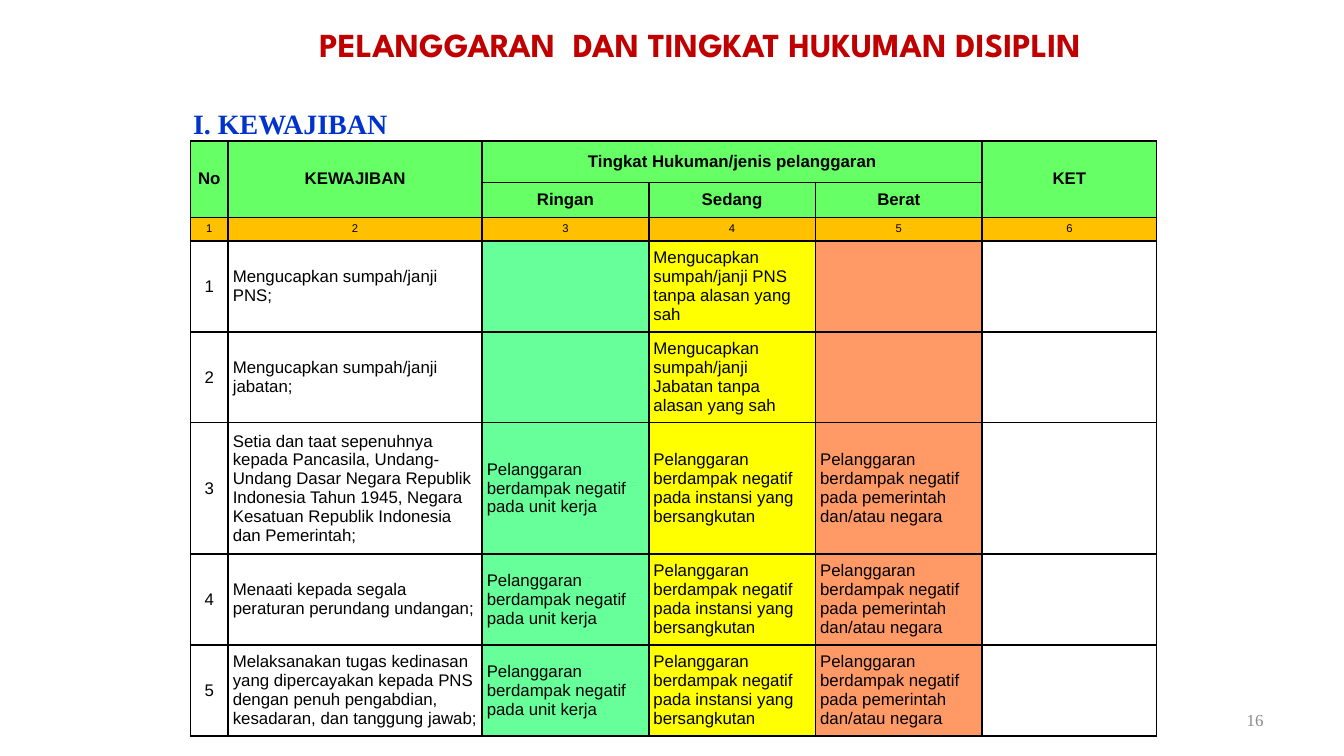
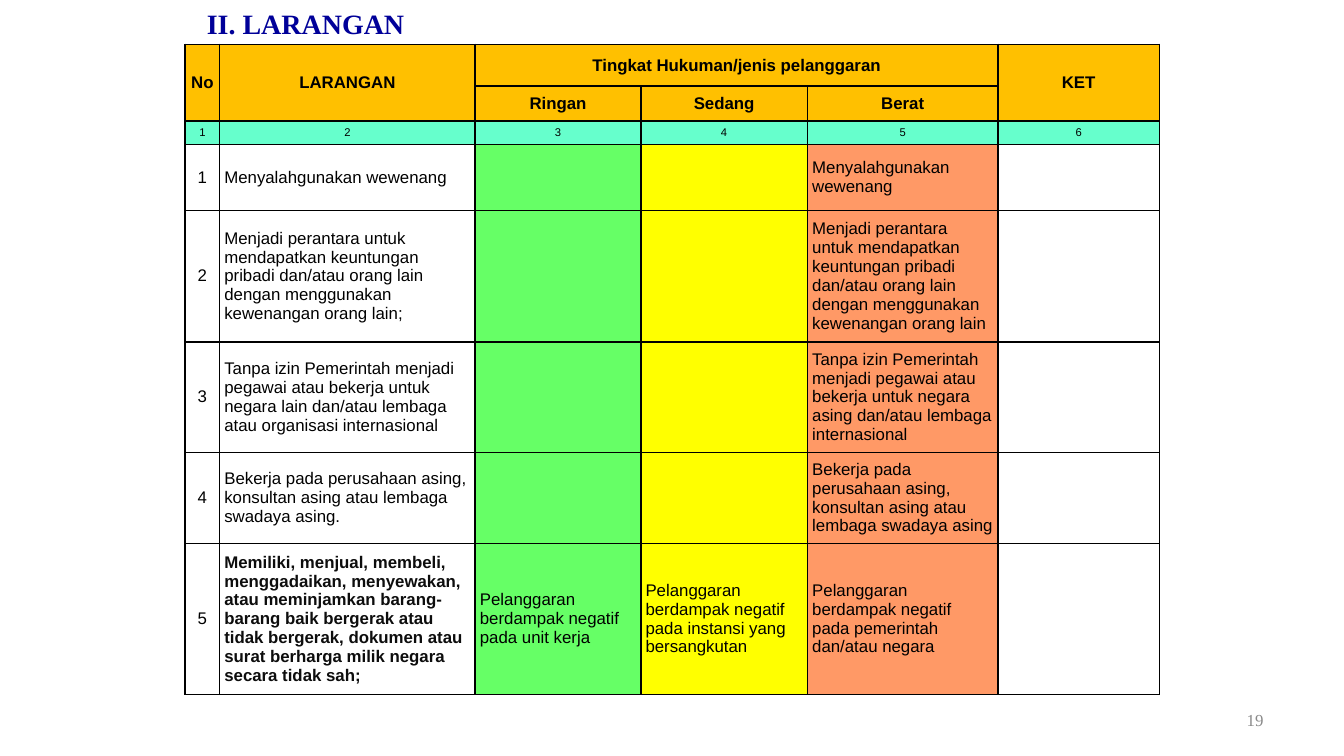
from dataclasses import dataclass

import pptx
import pptx.dml.color
import pptx.enum.text
import pptx.oxml
import pptx.oxml.ns
import pptx.presentation
import pptx.slide
import pptx.table
import pptx.text.text
import pptx.util
from pptx.util import Cm

ALIGN = pptx.enum.text.PP_ALIGN
ANCHOR = pptx.enum.text.MSO_ANCHOR

BODY_FONT, HEADING_FONT, TITLE_FONT = "Arial", "Times New Roman", "League Spartan"
BLACK, NEAR_BLACK, GREY, RED = "000000", "0D0D0D", "898989", "C00000"
AMBER, LIME, MINT, AQUA = "FFC000", "66FF66", "66FF99", "66FFCC"
YELLOW, SALMON = "FFFF00", "FF9966"

LEVELS = ("Ringan", "Sedang", "Berat")
HEADER_ROWS = 3
HEADER_HEIGHTS = (0.79, 0.66, 0.44)
CELL_INSET = Cm(0.09)
BODY_SIZE, INDEX_SIZE = 9, 6

UNIT_IMPACT = "Pelanggaran berdampak negatif pada unit kerja"
AGENCY_IMPACT = "Pelanggaran berdampak negatif pada instansi yang bersangkutan"
STATE_IMPACT = "Pelanggaran berdampak negatif pada pemerintah dan/atau negara"
ALL_IMPACTS = (UNIT_IMPACT, AGENCY_IMPACT, STATE_IMPACT)


@dataclass(frozen=True)
class TextStyle:
    font: str
    size: float
    color: str
    bold: bool = False
    align: ALIGN = ALIGN.LEFT


@dataclass(frozen=True)
class Box:
    """Position and size in centimetres."""
    left: float
    top: float
    width: float
    height: float


@dataclass(frozen=True)
class Rule:
    """A duty or ban, with the violation at each penalty level."""
    wording: str
    violations: tuple[str, str, str]
    height: float
    emphasised: bool = False


@dataclass(frozen=True)
class Section:
    heading: str
    heading_box: Box
    heading_color: str
    subject: str
    page: str
    left: float
    top: float
    widths: tuple[float, ...]
    header_fill: str
    index_fill: str
    level_fills: tuple[str, str, str]
    rules: tuple[Rule, ...]
    title: str = ""


TITLE_STYLE = TextStyle(TITLE_FONT, 18, RED, True, ALIGN.CENTER)
PAGE_STYLE = TextStyle(HEADING_FONT, 9, GREY, align=ALIGN.RIGHT)
HEADER_STYLE = TextStyle(BODY_FONT, BODY_SIZE, BLACK, True, ALIGN.CENTER)
INDEX_STYLE = TextStyle(BODY_FONT, INDEX_SIZE, BLACK, align=ALIGN.CENTER)
NUMBER_STYLE = TextStyle(BODY_FONT, BODY_SIZE, BLACK, align=ALIGN.CENTER)
BODY_STYLE = TextStyle(BODY_FONT, BODY_SIZE, BLACK)
EMPHASIS_STYLE = TextStyle(BODY_FONT, BODY_SIZE, NEAR_BLACK, True)

TITLE_BOX = Box(4.8, 0.33, 16.87, 1.02)
PAGE_BOX = Box(18.2, 13.23, 5.93, 0.76)

SECTIONS = (
    Section(
        title="PELANGGARAN  DAN TINGKAT HUKUMAN DISIPLIN",
        heading="I. KEWAJIBAN",
        heading_box=Box(3.4, 1.88, 4.85, 0.89),
        heading_color="0033CC",
        subject="KEWAJIBAN",
        page="16",
        left=3.6,
        top=2.66,
        widths=(0.71, 4.8, 3.15, 3.15, 3.15, 3.3),
        header_fill=LIME,
        index_fill=AMBER,
        level_fills=(MINT, YELLOW, SALMON),
        rules=(
            Rule("Mengucapkan sumpah/janji PNS;",
                 ("", "Mengucapkan sumpah/janji PNS tanpa alasan yang sah", ""), 1.72),
            Rule("Mengucapkan sumpah/janji jabatan;",
                 ("", "Mengucapkan sumpah/janji Jabatan tanpa alasan yang sah", ""), 1.72),
            Rule("Setia dan taat sepenuhnya kepada Pancasila, Undang-Undang Dasar Negara "
                 "Republik Indonesia Tahun 1945, Negara Kesatuan Republik Indonesia dan "
                 "Pemerintah;", ALL_IMPACTS, 2.48),
            Rule("Menaati kepada segala peraturan perundang undangan;", ALL_IMPACTS, 1.72),
            Rule("Melaksanakan tugas kedinasan yang dipercayakan kepada PNS dengan penuh "
                 "pengabdian, kesadaran, dan tanggung jawab;", ALL_IMPACTS, 1.72),
        ),
    ),
    Section(
        heading="II. LARANGAN",
        heading_box=Box(3.66, 0, 5.05, 0.89),
        heading_color="000099",
        subject="LARANGAN",
        page="19",
        left=3.5,
        top=0.84,
        widths=(0.65, 4.83, 3.13, 3.15, 3.6, 3.05),
        header_fill=AMBER,
        index_fill=AQUA,
        level_fills=(LIME, YELLOW, SALMON),
        rules=(
            Rule("Menyalahgunakan wewenang", ("", "", "Menyalahgunakan wewenang"), 1.25),
            Rule("Menjadi perantara untuk mendapatkan keuntungan pribadi dan/atau orang lain "
                 "dengan menggunakan kewenangan orang lain;",
                 ("", "", "Menjadi perantara untuk mendapatkan keuntungan pribadi dan/atau "
                  "orang lain dengan menggunakan kewenangan orang lain"), 2.48),
            Rule("Tanpa izin Pemerintah menjadi pegawai atau bekerja untuk negara lain "
                 "dan/atau lembaga atau organisasi internasional",
                 ("", "", "Tanpa izin Pemerintah menjadi pegawai atau bekerja untuk negara "
                  "asing dan/atau lembaga internasional"), 2.09),
            Rule("Bekerja pada perusahaan asing, konsultan asing atau lembaga swadaya asing.",
                 ("", "", "Bekerja pada perusahaan asing, konsultan asing atau lembaga "
                  "swadaya asing"), 1.72),
            Rule("Memiliki, menjual, membeli, menggadaikan, menyewakan, atau meminjamkan "
                 "barang-barang baik bergerak atau tidak bergerak, dokumen atau surat berharga "
                 "milik negara secara tidak sah;", ALL_IMPACTS, 2.85, emphasised=True),
        ),
    ),
)


def rgb(color: str) -> pptx.dml.color.RGBColor:
    return pptx.dml.color.RGBColor.from_string(color)


def write(frame: pptx.text.text.TextFrame, wording: str, style: TextStyle) -> None:
    frame.text = wording
    paragraph = frame.paragraphs[0]
    paragraph.alignment = style.align
    for run in paragraph.runs:
        run.font.name = style.font
        run.font.size = pptx.util.Pt(style.size)
        run.font.bold = style.bold
        run.font.color.rgb = rgb(style.color)


def add_text(slide: pptx.slide.Slide, box: Box, wording: str, style: TextStyle,
             anchor: ANCHOR = ANCHOR.TOP, wrap: bool = True) -> None:
    frame = slide.shapes.add_textbox(
        Cm(box.left), Cm(box.top), Cm(box.width), Cm(box.height)).text_frame
    frame.word_wrap = wrap
    frame.vertical_anchor = anchor
    write(frame, wording, style)


def add_borders(cell: pptx.table._Cell) -> None:
    properties = cell._tc.get_or_add_tcPr()
    for side in ("lnL", "lnR", "lnT", "lnB"):
        properties.append(pptx.oxml.parse_xml(
            f'<a:{side} {pptx.oxml.ns.nsdecls("a")} w="12700"><a:solidFill>'
            f'<a:srgbClr val="{BLACK}"/></a:solidFill></a:{side}>'))


def format_cell(cell: pptx.table._Cell, fill: str) -> None:
    """Frame the cell and fill it; an empty fill leaves it clear."""
    add_borders(cell)
    if fill:
        cell.fill.solid()
        cell.fill.fore_color.rgb = rgb(fill)
    else:
        cell.fill.background()
    cell.margin_left = cell.margin_right = CELL_INSET
    cell.margin_top = cell.margin_bottom = CELL_INSET
    cell.vertical_anchor = ANCHOR.MIDDLE


def fill_row(table: pptx.table.Table, row: int, wordings: tuple[str, ...],
             styles: tuple[TextStyle, ...], fills: tuple[str, ...]) -> None:
    for column, (wording, style, fill) in enumerate(zip(wordings, styles, fills)):
        cell = table.cell(row, column)
        format_cell(cell, fill)
        if wording:
            write(cell.text_frame, wording, style)


def add_penalty_table(slide: pptx.slide.Slide, section: Section) -> None:
    heights = HEADER_HEIGHTS + tuple(rule.height for rule in section.rules)
    columns = len(section.widths)
    table = slide.shapes.add_table(
        len(heights), columns, Cm(section.left), Cm(section.top),
        Cm(sum(section.widths)), Cm(sum(heights))).table
    table.first_row = table.horz_banding = False
    for column, width in zip(table.columns, section.widths):
        column.width = Cm(width)
    for row, height in zip(table.rows, heights):
        row.height = Cm(height)

    header_rows = (
        (("No", section.subject, "Tingkat Hukuman/jenis pelanggaran", "", "", "KET"),
         HEADER_STYLE, section.header_fill),
        (("", "", *LEVELS, ""), HEADER_STYLE, section.header_fill),
        (tuple(str(index + 1) for index in range(columns)),
         INDEX_STYLE, section.index_fill),
    )
    for row, (wordings, style, fill) in enumerate(header_rows):
        fill_row(table, row, wordings, (style,) * columns, (fill,) * columns)
    for column in (0, 1, columns - 1):
        table.cell(0, column).merge(table.cell(1, column))
    table.cell(0, 2).merge(table.cell(0, 1 + len(LEVELS)))

    for number, rule in enumerate(section.rules, start=1):
        wording_style = EMPHASIS_STYLE if rule.emphasised else BODY_STYLE
        fill_row(table, HEADER_ROWS + number - 1,
                 (str(number), rule.wording, *rule.violations, ""),
                 (NUMBER_STYLE, wording_style) + (BODY_STYLE,) * 4,
                 ("", "", *section.level_fills, ""))


def add_section(deck: pptx.presentation.Presentation, section: Section) -> None:
    slide = deck.slides.add_slide(deck.slide_layouts[6])
    add_text(slide, PAGE_BOX, section.page, PAGE_STYLE, ANCHOR.MIDDLE)
    add_penalty_table(slide, section)
    if section.title:
        add_text(slide, TITLE_BOX, section.title, TITLE_STYLE, wrap=False)
    add_text(slide, section.heading_box, section.heading,
             TextStyle(HEADING_FONT, 15, section.heading_color, True))


def main() -> None:
    deck = pptx.Presentation()
    deck.slide_width, deck.slide_height = Cm(25.4), Cm(14.29)
    for section in SECTIONS:
        add_section(deck, section)
    deck.save("out.pptx")


if __name__ == "__main__":
    main()
